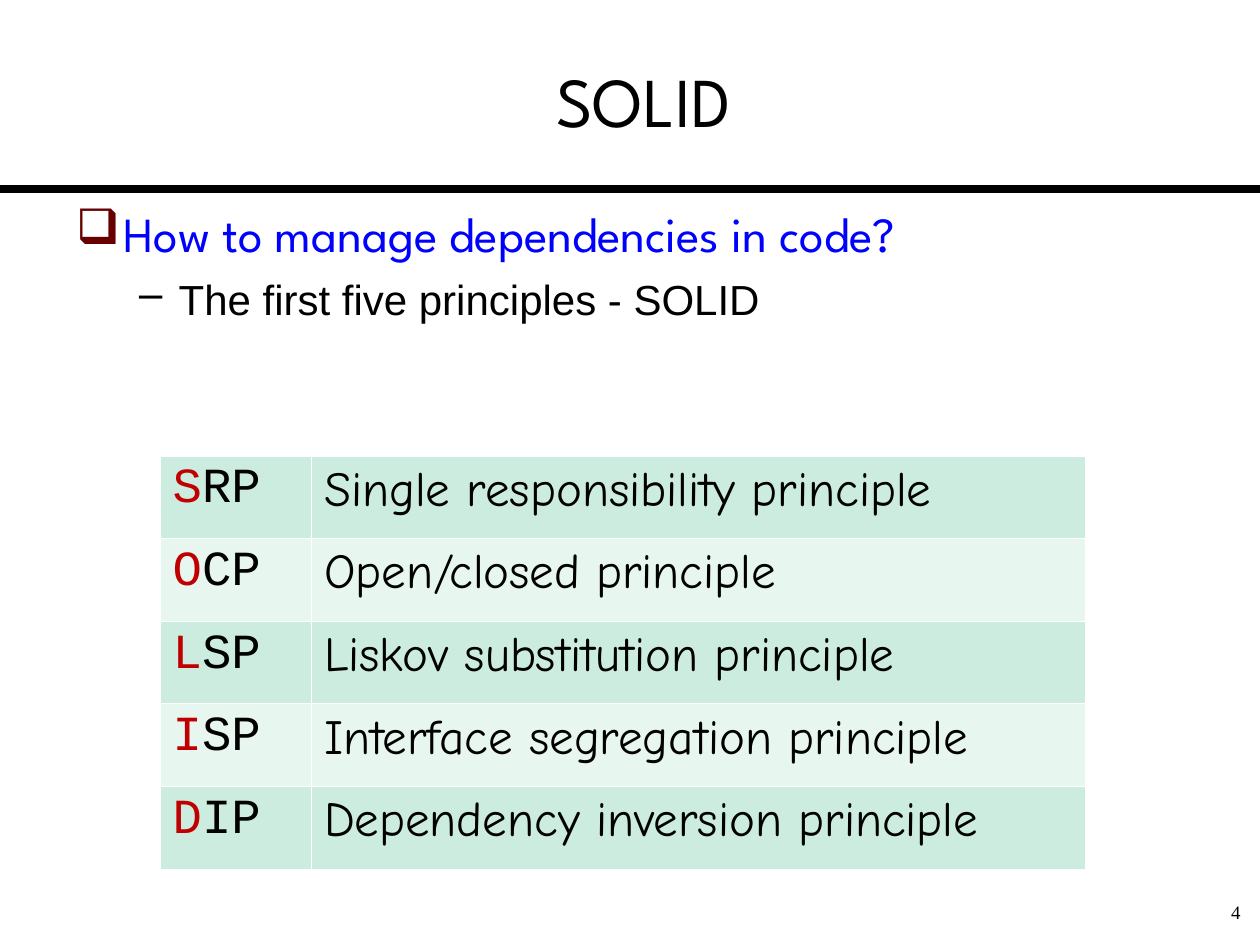
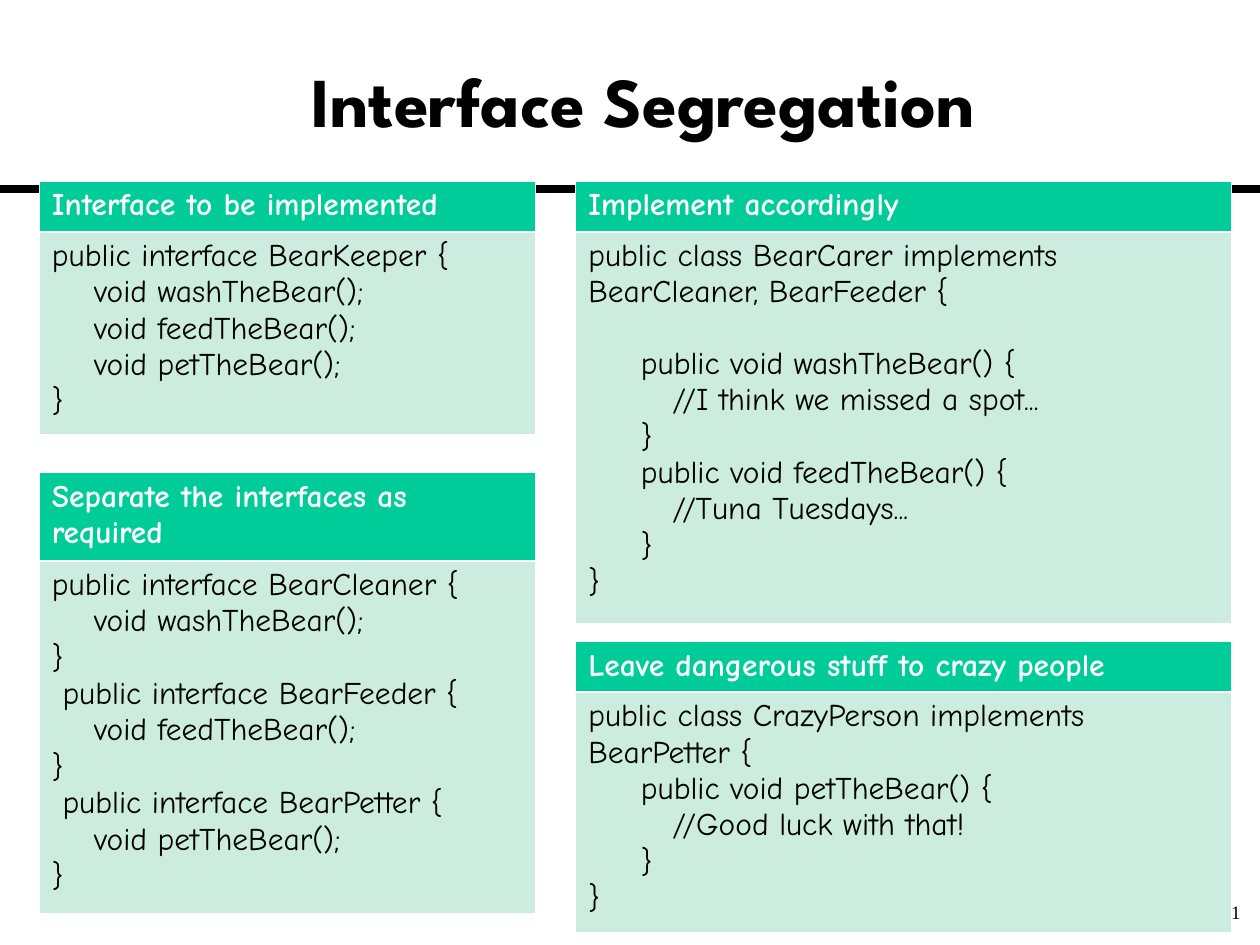
"""Build two slides on the SOLID principles and interface segregation."""
from dataclasses import dataclass

from lxml.etree import SubElement as Sub
from pptx import Presentation
from pptx.dml.color import RGBColor as Color
from pptx.enum.shapes import MSO_CONNECTOR as Connector
from pptx.enum.text import MSO_ANCHOR as Anchor, PP_ALIGN as Align
from pptx.oxml.ns import qn
from pptx.util import Pt


@dataclass(frozen=True)
class Theme:
    """Colours, text styles and line widths of the deck."""
    black: str = "000000"
    white: str = "FFFFFF"
    blue: str = "0000FF"
    red: str = "C00000"
    maroon: str = "680000"
    green: str = "00CC99"
    mint: str = "CBECDE"
    pale: str = "E7F6EF"
    heading: tuple = ("League Spartan", 40)
    question: tuple = ("League Spartan", 28)
    answer: tuple = ("Arial", 24)
    acronym: tuple = ("Courier New", 28)
    principle: tuple = ("Comic Neue", 28)
    code: tuple = ("Comic Neue", 18)
    number: tuple = ("Times New Roman", 10.8)
    rule: float = 4.5
    thin: float = 0.45
    thick: float = 1.5
    code_gap: float = 20


THEME = Theme()

PRINCIPLES = [
    ("SRP", "Single responsibility principle"),
    ("OCP", "Open/closed principle"),
    ("LSP", "Liskov substitution principle"),
    ("ISP", "Interface segregation principle"),
    ("DIP", "Dependency inversion principle"),
]

KEEPER = """public interface BearKeeper {
    void washTheBear();
    void feedTheBear();
    void petTheBear();
}"""

SEPARATED = """public interface BearCleaner {
    void washTheBear();
}
 public interface BearFeeder {
    void feedTheBear();
}
 public interface BearPetter {
    void petTheBear();
}"""

CARER = """public class BearCarer implements BearCleaner, BearFeeder {

     public void washTheBear() {
        //I think we missed a spot...
     }
     public void feedTheBear() {
        //Tuna Tuesdays...
     }
}"""

CRAZY = """public class CrazyPerson implements BearPetter {
     public void petTheBear() {
        //Good luck with that!
     }
}"""

LEFT, RIGHT = (22.5, 283.5), (329, 374.5)
CARDS = [
    (LEFT, 103.5, (29, 115.5), "Interface to be implemented", KEEPER),
    (LEFT, 270, (50.5, 201.5), "Separate the interfaces as required", SEPARATED),
    (RIGHT, 103.5, (29, 223.5), "Implement accordingly", CARER),
    (RIGHT, 366.5, (29, 137.5), "Leave dangerous stuff to crazy people", CRAZY),
]


def apply(target, values):
    """Set each attribute named in a dict."""
    for name, value in values.items():
        setattr(target, name, value)


def add_span(para, text, style, color=THEME.black, bold=False):
    """Append a formatted run to a paragraph."""
    span = para.add_run()
    span.text = text
    family, size = style
    apply(span.font, {"name": family, "size": Pt(size), "bold": bold})
    span.font.color.rgb = Color.from_string(color)


def add_box(page, left, top, width, height, **frame_format):
    """Add a wrapping text box and return its text frame."""
    frame = page.shapes.add_textbox(*map(Pt, (left, top, width, height))).text_frame
    apply(frame, {"word_wrap": True, **frame_format})
    return frame


def add_bullet(para, symbol, color, margin, hang):
    """Give a paragraph a coloured hanging bullet."""
    props = para._p.get_or_add_pPr()
    props.set("marL", str(Pt(margin)))
    props.set("indent", str(-Pt(hang)))
    Sub(Sub(props, qn("a:buClr")), qn("a:srgbClr"), val=color)
    Sub(props, qn("a:buChar"), char=symbol)


def add_page(deck, title, number, bold=False):
    """Add a blank page with rule, title and page number."""
    page = deck.slides.add_slide(deck.slide_layouts[6])
    rule = page.shapes.add_connector(Connector.STRAIGHT, 0, Pt(108), deck.slide_width, Pt(108))
    rule.line.width = Pt(THEME.rule)
    rule.line.color.rgb = Color.from_string(THEME.black)
    Sub(rule._element.spPr, qn("a:effectLst"))

    heading = add_box(page, 30, 12, 675.5, 90, vertical_anchor=Anchor.MIDDLE,
                      margin_left=0, margin_right=0).paragraphs[0]
    heading.alignment = Align.CENTER
    add_span(heading, title, THEME.heading, bold=bold)

    footer = add_box(page, 654, 513.5, 62, 21).paragraphs[0]
    apply(footer, {"alignment": Align.RIGHT, "line_spacing": 0.8})
    add_span(footer, number, THEME.number)
    return page


def add_grid(page, left, top, widths, heights):
    """Add a table without a banded style and return it."""
    area = map(Pt, (left, top, sum(widths), sum(heights)))
    table = page.shapes.add_table(len(heights), len(widths), *area).table
    apply(table, {"first_row": False, "horz_banding": False})
    for column, width in zip(table.columns, widths):
        column.width = Pt(width)
    for row, height in zip(table.rows, heights):
        row.height = Pt(height)
    return table


def paint_cell(cell, fill, **thick_sides):
    """Set white borders and the fill of a cell."""
    props = cell._tc.get_or_add_tcPr()
    for side in "LRTB":
        width = thick_sides.get(side, THEME.thin)
        line = Sub(props, qn(f"a:ln{side}"), w=str(Pt(width)))
        Sub(Sub(line, qn("a:solidFill")), qn("a:srgbClr"), val=THEME.white)
    cell.fill.solid()
    cell.fill.fore_color.rgb = Color.from_string(fill)


def add_code(frame, code):
    """Write code lines, turning empty lines into space before."""
    para, gap = frame.paragraphs[0], 0
    for index, text in enumerate(code.splitlines()):
        if not text:
            gap = THEME.code_gap
            continue
        if index:
            para = frame.add_paragraph()
            para.space_before = Pt(gap)
        add_span(para, text, THEME.code)
        gap = 0


def add_card(page, column, top, heights, title, code):
    """Add a code card with a green header."""
    left, width = column
    table = add_grid(page, left, top, [width], heights)
    header, body = table.cell(0, 0), table.cell(1, 0)
    paint_cell(header, THEME.green, B=THEME.thick)
    paint_cell(body, THEME.mint, T=THEME.thick)
    add_span(header.text_frame.paragraphs[0], title, THEME.code, THEME.white, bold=True)
    add_code(body.text_frame, code)


def add_principles(page):
    """Add the table of the five principles."""
    table = add_grid(page, 91.5, 260.5, [86.5, 442.5], [47.25] * len(PRINCIPLES))
    for index, (acronym, principle) in enumerate(PRINCIPLES):
        short, full = table.rows[index].cells
        for cell in (short, full):
            paint_cell(cell, THEME.pale if index % 2 else THEME.mint)
        para = short.text_frame.paragraphs[0]
        add_span(para, acronym[0], THEME.acronym, THEME.red)
        add_span(para, acronym[1:], THEME.acronym)
        add_span(full.text_frame.paragraphs[0], principle, THEME.principle)


def add_outline(page):
    """Add the question and its answer."""
    frame = add_box(page, 36.5, 113, 648, 108)
    question, answer = frame.paragraphs[0], frame.add_paragraph()
    add_bullet(question, "❑", THEME.maroon, 27, 27)
    add_span(question, "How to manage dependencies in code?", THEME.question, THEME.blue)
    add_bullet(answer, "–", THEME.black, 58.5, 22.5)
    apply(answer, {"level": 1, "space_before": Pt(6)})
    add_span(answer, "The first five principles - SOLID", THEME.answer)


def main():
    """Build and save the deck."""
    deck = Presentation()
    apply(deck, {"slide_width": Pt(720), "slide_height": Pt(540)})

    overview = add_page(deck, "SOLID", "4")
    add_principles(overview)
    add_outline(overview)

    segregation = add_page(deck, "Interface Segregation", "21", bold=True)
    for card in CARDS:
        add_card(segregation, *card)

    deck.save("out.pptx")


if __name__ == "__main__":
    main()
